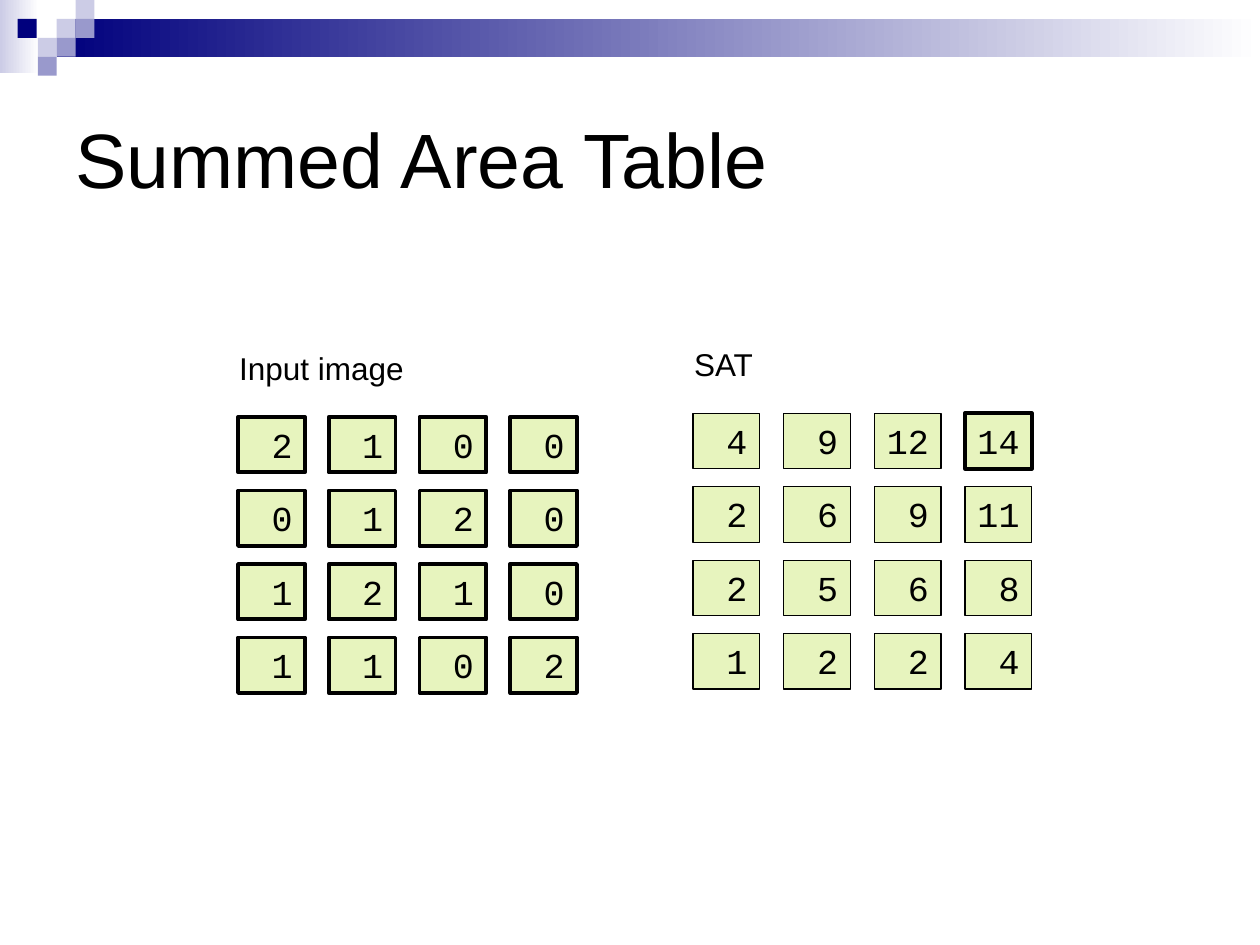
import pptx
import pptx.util
import pptx.dml.color
import pptx.enum.shapes
import pptx.enum.text

Inches = pptx.util.Inches
Pt = pptx.util.Pt
RGBColor = pptx.dml.color.RGBColor
ANCHOR = pptx.enum.text.MSO_ANCHOR
LEFT = pptx.enum.text.PP_ALIGN.LEFT
GROW = pptx.enum.text.MSO_AUTO_SIZE.SHAPE_TO_FIT_TEXT

BLACK = RGBColor(0x00, 0x00, 0x00)
WHITE = RGBColor(0xFF, 0xFF, 0xFF)
NAVY = RGBColor(0x00, 0x00, 0x7D)
PALE = RGBColor(0xCC, 0xCC, 0xE6)
MID = RGBColor(0x99, 0x99, 0xCC)
GREEN = RGBColor(0xE7, 0xF4, 0xBE)

deck = pptx.Presentation()
deck.slide_width = Inches(10)
deck.slide_height = Inches(7.5)
slide = deck.slides.add_slide(deck.slide_layouts[5])


def add_rect(left, top, width, height):
    rect = slide.shapes.add_shape(
        pptx.enum.shapes.MSO_SHAPE.RECTANGLE,
        Inches(left), Inches(top), Inches(width), Inches(height))
    rect.shadow.inherit = False
    rect.line.fill.background()
    return rect


def set_text(shape, text, size, font, anchor=ANCHOR.TOP):
    frame = shape.text_frame
    frame.text = text
    frame.word_wrap = False
    frame.vertical_anchor = anchor
    para = frame.paragraphs[0]
    para.alignment = LEFT
    style = para.runs[0].font
    style.size = Pt(size)
    style.name = font
    style.color.rgb = BLACK


# Header: two fading bars, then the small squares
bars = [
    (0, 0, 0.31, 0.58, PALE),
    (0.45, 0.15, 9.55, 0.3, NAVY),
]
for left, top, width, height, color in bars:
    fill = add_rect(left, top, width, height).fill
    fill.gradient()
    fill.gradient_angle = 0
    fill.gradient_stops[0].color.rgb = color
    fill.gradient_stops[1].color.rgb = WHITE

SIDE = 0.15
squares = [
    (0.45, 0.15, PALE), (0.6, 0, PALE), (0.6, 0.15, MID), (0.3, 0.3, PALE),
    (0.14, 0.15, NAVY), (0.45, 0.3, MID), (0.3, 0.45, MID),
]
for left, top, color in squares:
    fill = add_rect(left, top, SIDE, SIDE).fill
    fill.solid()
    fill.fore_color.rgb = color

title = slide.shapes.title
title.left, title.top = Inches(0.5), Inches(0.5)
title.width, title.height = Inches(9), Inches(1.5)
set_text(title, "Summed Area Table", 44, "Arial", ANCHOR.MIDDLE)
title.text_frame.word_wrap = True

# Two number grids, each with its label above
pixels = [[2, 1, 0, 0], [0, 1, 2, 0], [1, 2, 1, 0], [1, 1, 0, 2]]
sums = [[4, 9, 12, 14], [2, 6, 9, 11], [2, 5, 6, 8], [1, 2, 2, 4]]
THICK, THIN = 2.25, 0.75
STEP_X, STEP_Y = 2.16 / 3, 1.75 / 3
grids = [
    ("Input image", 1.52, 1.89, 3.31, pixels, THICK),
    ("SAT", 0.68, 5.5, 3.28, sums, THIN),
]
for label, width, left, top, rows, weight in grids:
    for i, row in enumerate(rows):
        for j, value in enumerate(row):
            cell = add_rect(left + j * STEP_X, top + i * STEP_Y, 0.53, 0.44)
            cell.fill.solid()
            cell.fill.fore_color.rgb = GREEN
            cell.line.color.rgb = BLACK
            total = rows is sums and (i, j) == (0, 3)
            cell.line.width = Pt(THICK if total else weight)
            set_text(cell, f"{value:2}", 20, "Courier New")
    box = slide.shapes.add_textbox(
        Inches(left - 0.09), Inches(top - 0.59), Inches(width), Inches(0.4))
    set_text(box, label, 18, "Arial")
    box.text_frame.auto_size = GROW

deck.save("out.pptx")
